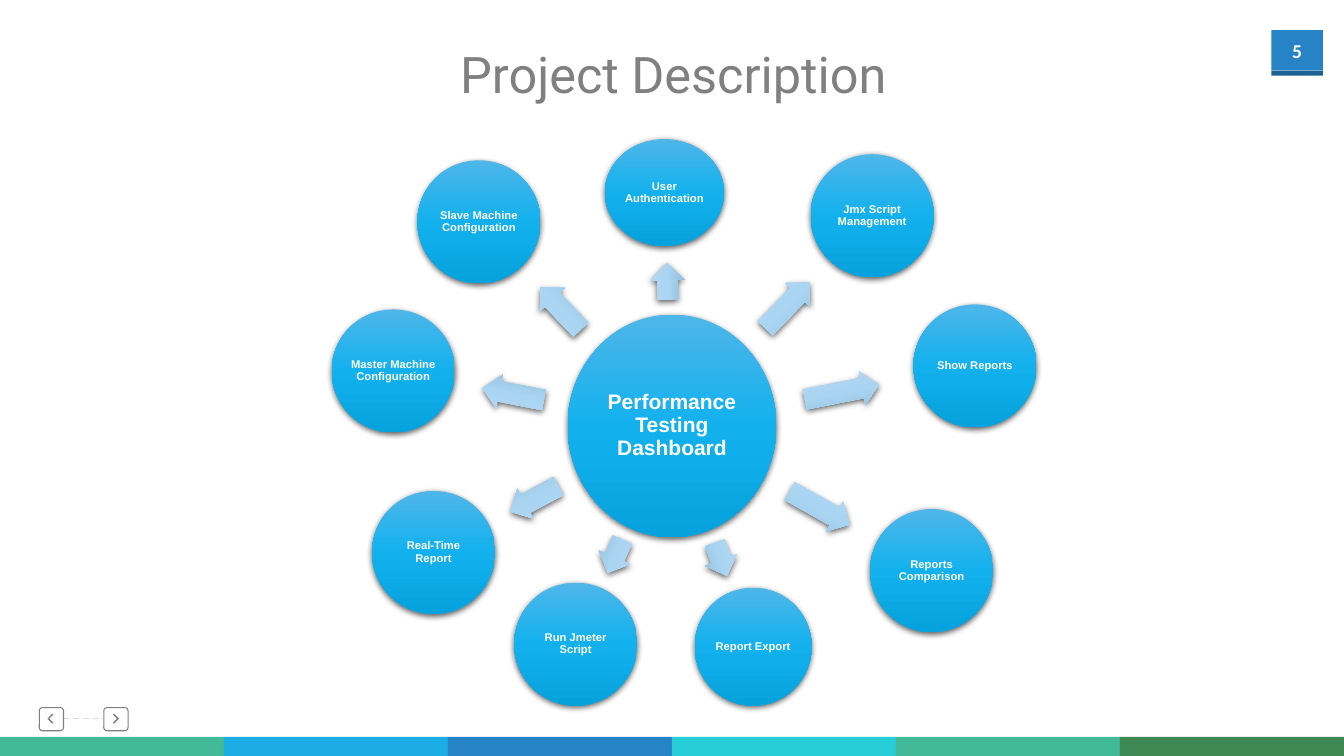
from pptx import Presentation
from pptx import util as u
from pptx.dml.color import RGBColor
from pptx.enum import dml, shapes, text
from pptx.oxml import parse_xml
from pptx.oxml.ns import nsdecls

COLORS = {
    "white": "FFFFFF", "gray": "808080", "dash": "D9D9D9",
    "sky": "1CADE4", "blue": "2683C6", "navy": "1D6294",
    "aqua": "27CED7", "mint": "42BA97", "green": "3E8853",
}
BUBBLE_GRADIENT = ("4FB6E9", "12B1EE", "06A2DD")
ARROW_GRADIENT = ("B8D9F2", "A9D4F2", "91BDDC")

# label, bubble (left, top, width, height), arrow centre, length, direction in degrees
FEATURES = [
    ("User Authentication", (6.0, 1.38, 1.18, 1.06), (6.62, 2.79), 0.36, 268.2),
    ("Jmx Script Management", (8.04, 1.53, 1.22, 1.22), (7.81, 3.03), 0.63, 313.7),
    ("Show Reports", (9.06, 3.02, 1.22, 1.22), (8.35, 3.89), 0.75, 348.8),
    ("Reports Comparison", (8.63, 5.05, 1.22, 1.22), (8.13, 5.04), 0.68, 29.2),
    ("Report Export", (6.89, 5.83, 1.16, 1.17), (7.15, 5.55), 0.35, 69.9),
    ("Run Jmeter Script", (5.1, 5.78, 1.22, 1.22), (6.1, 5.52), 0.36, 113.7),
    ("Real-Time Report", (3.69, 4.87, 1.22, 1.22), (5.3, 4.95), 0.54, 152),
    ("Master Machine Configuration", (3.29, 3.07, 1.22, 1.22), (5.09, 3.91), 0.62, 191),
    ("Slave Machine Configuration", (4.14, 1.59, 1.22, 1.22), (5.56, 3.06), 0.58, 226.4),
]
ARROW_HEIGHT = 0.34
STRIPES = ("mint", "sky", "blue", "aqua", "mint", "green")
CHEVRON = [(0.53, 7.09), (0.49, 7.13), (0.53, 7.17), (0.52, 7.18), (0.47, 7.13), (0.52, 7.08)]
PAGER_WIDTH = 1.65


def color(name):
    return RGBColor.from_string(COLORS[name])


class Deck:
    """Holds the presentation, its shared style and the current slide."""

    frame_format = {
        "word_wrap": True, "auto_size": text.MSO_AUTO_SIZE.NONE,
        "vertical_anchor": text.MSO_ANCHOR.MIDDLE,
        "margin_left": 0, "margin_right": 0, "margin_top": 0, "margin_bottom": 0,
    }

    def __init__(self, width, height):
        self.presentation = Presentation()
        self.presentation.slide_width = u.Inches(width)
        self.presentation.slide_height = u.Inches(height)
        self.slide = self.presentation.slides.add_slide(self.presentation.slide_layouts[5])

    def label(self, shape, words, size, font="Arial", ink="white", bold=True, spacing=1.0, wrap=True):
        frame = shape.text_frame
        for name, value in {**self.frame_format, "word_wrap": wrap}.items():
            setattr(frame, name, value)
        paragraph = frame.paragraphs[0]
        paragraph.text = words
        paragraph.alignment = text.PP_ALIGN.CENTER
        paragraph.line_spacing = spacing
        for name, value in {"size": u.Pt(size), "name": font, "bold": bold}.items():
            setattr(paragraph.runs[0].font, name, value)
        paragraph.runs[0].font.color.rgb = color(ink)

    def title(self, words, box):
        shape = self.slide.shapes.title
        for name, value in zip(("left", "top", "width", "height"), box):
            setattr(shape, name, u.Inches(value))
        self.label(shape, words, 36, "Roboto", "gray", bold=False, wrap=False)

    def shape(self, kind, box, fill=None):
        shape = self.slide.shapes.add_shape(kind, *map(u.Inches, box))
        shape.shadow.inherit = False
        shape.line.fill.background()
        if fill:
            self.paint(shape, fill)
        return shape

    def paint(self, shape, fill):
        shape.fill.solid()
        shape.fill.fore_color.rgb = color(fill)

    def glossy(self, kind, box, gradient):
        """Adds a shape with a vertical three-stop gradient and a soft shadow."""
        shape = self.shape(kind, box)
        stops = "".join(
            f'<a:gs pos="{index * 50000}"><a:srgbClr val="{stop}"/></a:gs>'
            for index, stop in enumerate(gradient))
        properties = shape._element.spPr
        properties.find(".//{*}prstGeom").addnext(parse_xml(
            f'<a:gradFill {nsdecls("a")} rotWithShape="1"><a:gsLst>{stops}</a:gsLst>'
            '<a:lin ang="5400000" scaled="0"/></a:gradFill>'))
        properties.find("{*}effectLst").append(parse_xml(
            f'<a:outerShdw {nsdecls("a")} blurRad="57150" dist="19050" dir="5400000" '
            'algn="ctr" rotWithShape="0"><a:srgbClr val="000000"><a:alpha val="63000"/>'
            '</a:srgbClr></a:outerShdw>'))
        return shape

    def bubble(self, words, box, size):
        shape = self.glossy(shapes.MSO_SHAPE.OVAL, box, BUBBLE_GRADIENT)
        self.label(shape, words, size, spacing=0.9)

    def arrow(self, center, length, direction):
        box = (center[0] - length / 2, center[1] - ARROW_HEIGHT / 2, length, ARROW_HEIGHT)
        shape = self.glossy(shapes.MSO_SHAPE.RIGHT_ARROW, box, ARROW_GRADIENT)
        shape.adjustments[0] = 0.6
        shape.adjustments[1] = 0.5
        shape.rotation = direction

    def button(self, left, chevron):
        frame = self.shape(shapes.MSO_SHAPE.ROUNDED_RECTANGLE, (left, 7.02, 0.24, 0.23))
        frame.fill.background()
        frame.line.color.rgb = color("gray")
        frame.line.width = u.Pt(0.75)
        frame.adjustments[0] = 0.14
        points = [(u.Inches(x), u.Inches(y)) for x, y in chevron]
        builder = self.slide.shapes.build_freeform(*points[0])
        builder.add_line_segments(points[1:], close=True)
        mark = builder.convert_to_shape()
        mark.shadow.inherit = False
        mark.line.fill.background()
        self.paint(mark, "gray")

    def dashed_line(self, start, end):
        line = self.slide.shapes.add_connector(
            shapes.MSO_CONNECTOR.STRAIGHT, *map(u.Inches, start + end))
        line.line.color.rgb = color("dash")
        line.line.width = u.Pt(1)
        line.line.dash_style = dml.MSO_LINE.DASH
        line._element.spPr.append(parse_xml(f'<a:effectLst {nsdecls("a")}/>'))


def main():
    deck = Deck(13.33, 7.5)
    rectangle = shapes.MSO_SHAPE.RECTANGLE
    deck.title("Project Description", (4.46, 0.37, 4.44, 0.71))

    page_number = deck.shape(rectangle, (12.61, 0.3, 0.51, 0.4), "blue")
    deck.label(page_number, "5", 14, "Calibri")
    deck.shape(rectangle, (12.61, 0.7, 0.51, 0.05), "navy")

    deck.dashed_line((0.63, 7.13), (1.02, 7.13))
    deck.button(0.39, CHEVRON)
    deck.button(1.03, [(PAGER_WIDTH - x, y) for x, y in CHEVRON])

    deck.bubble("Performance Testing Dashboard", (5.63, 3.12, 2.07, 2.21), 15)
    for name, box, center, length, direction in FEATURES:
        deck.arrow(center, length, direction)
        deck.bubble(name, box, 8)

    stripe_width = 13.33 / len(STRIPES)
    for index, fill in enumerate(STRIPES):
        deck.shape(rectangle, (index * stripe_width, 7.31, stripe_width, 0.19), fill)

    deck.presentation.save("out.pptx")


if __name__ == "__main__":
    main()
